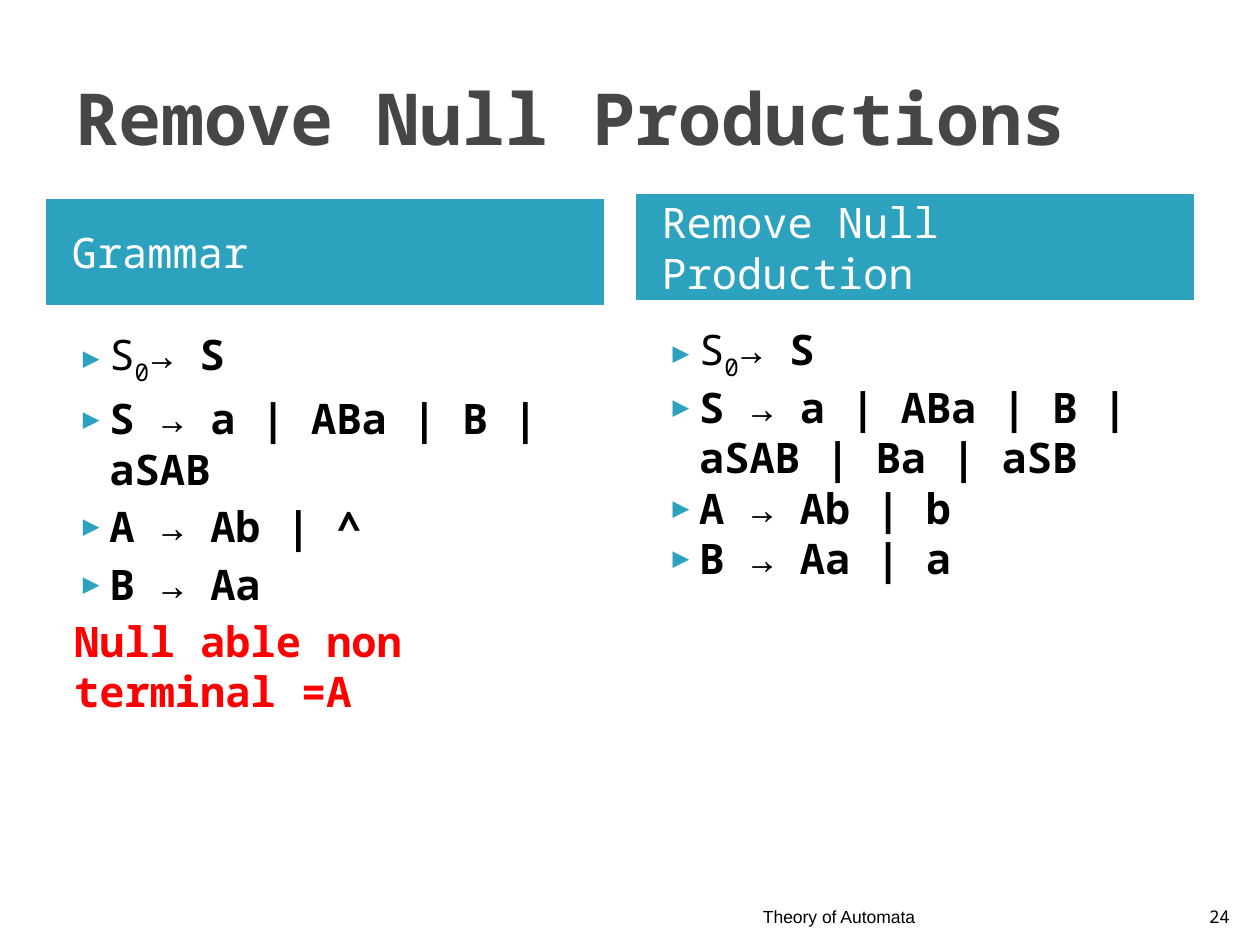
import pptx
import pptx.util
import pptx.dml.color
import pptx.enum.shapes
import pptx.enum.text
import lxml.etree

Pt = pptx.util.Pt
RGB = pptx.dml.color.RGBColor
ANCHOR = pptx.enum.text.MSO_ANCHOR
ALIGN = pptx.enum.text.PP_ALIGN

TEAL = RGB(0x2D, 0xA2, 0xBF)
GRAY = RGB(0x46, 0x46, 0x46)
WHITE = RGB(0xFF, 0xFF, 0xFF)
BLACK = RGB(0, 0, 0)
RED = RGB(0xFF, 0, 0)
MONO = "Noto Sans Mono"
COLUMN_WIDTH, HEADING_HEIGHT, RULES_HEIGHT = 318.24, 59.76, 310.32
RULES_OFFSET = 70.2

TITLE = "Remove Null Productions"
START_RULE = [("S", False, False), ("0", False, True), ("→ S", True, False)]
COLUMNS = [
    dict(heading="Grammar", left=26.64, top=114, gap=4,
         rules=["S → a | ABa | B |aSAB", "A → Ab | ^", "B → Aa"],
         note="Null able non terminal =A"),
    dict(heading="Remove Null Production", left=363.6, top=111.4, gap=0,
         rules=["S → a | ABa | B |aSAB | Ba | aSB", "A → Ab | b", "B → Aa | a"],
         note=None),
]
FOOTERS = [  # text, left, width, font
    ("Theory of Automata", 344.88, 185.04, "Arial"),
    ("24", 681.12, 28.8, MONO),
]


def style(paragraph, size, color, font=MONO, bold=None):
    """Set the font of a whole paragraph."""
    paragraph.font.name = font
    paragraph.font.size = Pt(size)
    paragraph.font.color.rgb = color
    paragraph.font.bold = bold


def indent(paragraph, margin, first, bullet):
    """Set the indents and, if asked, a teal triangle bullet."""
    props = paragraph._p.get_or_add_pPr()
    props.set("marL", str(Pt(margin)))
    props.set("indent", str(Pt(first)))
    if bullet:
        def add(parent, tag, **attributes):
            return lxml.etree.SubElement(
                parent, pptx.oxml.ns.qn("a:" + tag), **attributes)
        add(add(props, "buClr"), "srgbClr", val=str(TEAL))
        add(props, "buSzPct", val="68000")
        add(props, "buFont", typeface=MONO)
        add(props, "buChar", char="▶")


def add_heading(slide, column):
    """Draw the teal bar that heads a column."""
    bar = slide.shapes.add_shape(
        pptx.enum.shapes.MSO_SHAPE.RECTANGLE, Pt(column["left"]),
        Pt(column["top"]), Pt(COLUMN_WIDTH), Pt(HEADING_HEIGHT))
    bar.shadow.inherit = False
    bar.fill.solid()
    bar.fill.fore_color.rgb = TEAL
    bar.line.color.rgb = TEAL
    bar.line.width = Pt(0.76)
    frame = bar.text_frame
    frame.word_wrap = True
    frame.vertical_anchor = ANCHOR.MIDDLE
    frame.margin_left = Pt(14.4)
    heading = frame.paragraphs[0]
    heading.text = column["heading"]
    heading.alignment = ALIGN.LEFT
    heading.space_before = Pt(4)
    style(heading, 24, WHITE)


def add_rules(slide, column):
    """Write the grammar rules of a column and its closing note."""
    frame = slide.shapes.add_textbox(
        Pt(column["left"]), Pt(column["top"] + RULES_OFFSET),
        Pt(COLUMN_WIDTH), Pt(RULES_HEIGHT)).text_frame
    frame.word_wrap = True
    lines = [START_RULE] + [[(rule, True, False)] for rule in column["rules"]]
    if column["note"]:
        lines.append([(column["note"], True, False)])
    for index, line in enumerate(lines):
        paragraph = frame.add_paragraph() if index else frame.paragraphs[0]
        is_note = index > len(column["rules"])
        if is_note:
            indent(paragraph, 8.64, 0, False)
        else:
            indent(paragraph, 28.8, -20.16, True)
        paragraph.space_before = Pt(column["gap"])
        style(paragraph, 24, RED if is_note else BLACK)
        for text, bold, subscript in line:
            run = paragraph.add_run()
            run.text = text
            run.font.bold = bold
            if subscript:
                run.font._element.set("baseline", "-25000")


def add_footer(slide, text, left, width, font):
    """Write a right-aligned footer text."""
    frame = slide.shapes.add_textbox(
        Pt(left), Pt(504.72), Pt(width), Pt(28.8)).text_frame
    frame.word_wrap = True
    frame.vertical_anchor = ANCHOR.BOTTOM
    paragraph = frame.paragraphs[0]
    paragraph.text = text
    paragraph.alignment = ALIGN.RIGHT
    style(paragraph, 10, BLACK, font)


def add_title(slide):
    """Place and format the title placeholder."""
    title = slide.shapes.title
    title.left, title.top = Pt(36), Pt(21.6)
    title.width, title.height = Pt(648), Pt(90)
    frame = title.text_frame
    frame.text = TITLE
    frame.word_wrap = True
    frame.auto_size = pptx.enum.text.MSO_AUTO_SIZE.NONE
    frame.vertical_anchor = ANCHOR.MIDDLE
    frame.paragraphs[0].alignment = ALIGN.LEFT
    style(frame.paragraphs[0], 41, GRAY, bold=True)


presentation = pptx.Presentation()
presentation.slide_width, presentation.slide_height = Pt(720), Pt(540)
slide = presentation.slides.add_slide(presentation.slide_layouts[5])
add_title(slide)
for column in COLUMNS:
    add_heading(slide, column)
    add_rules(slide, column)
for footer in FOOTERS:
    add_footer(slide, *footer)
presentation.save("out.pptx")
